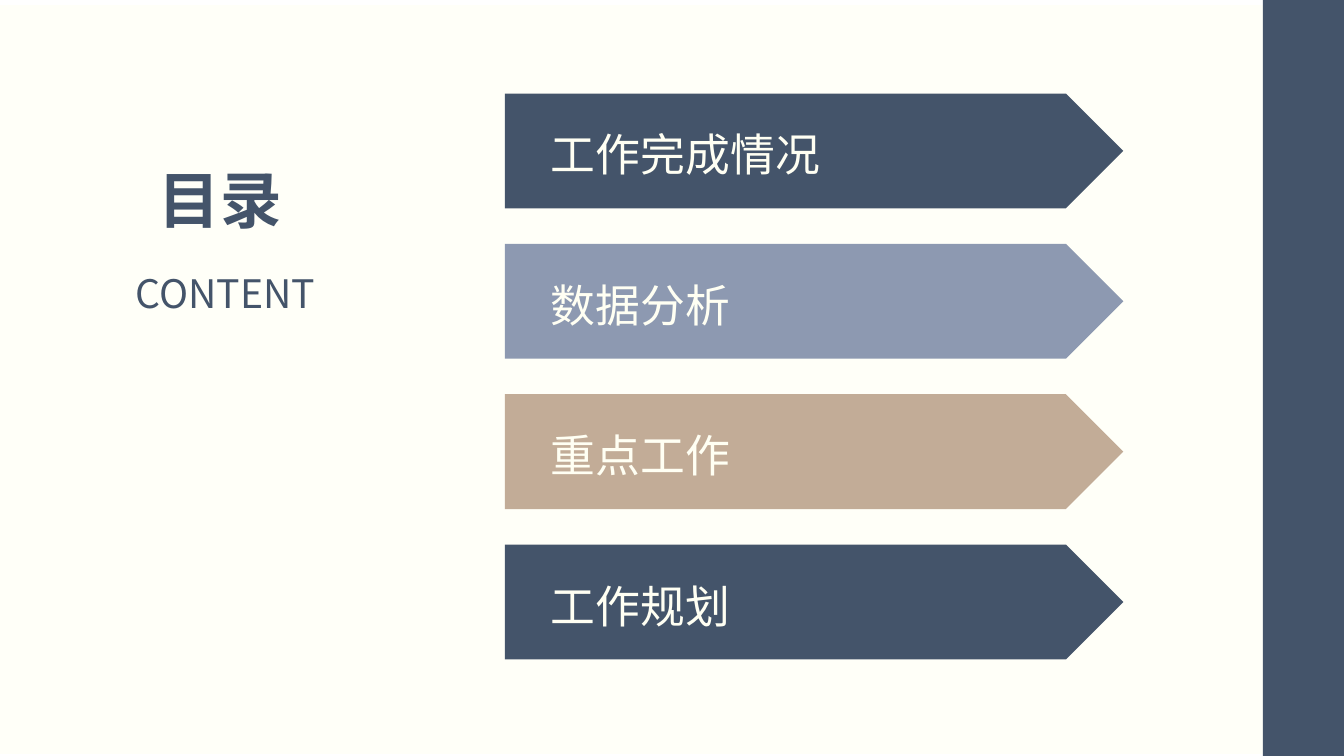
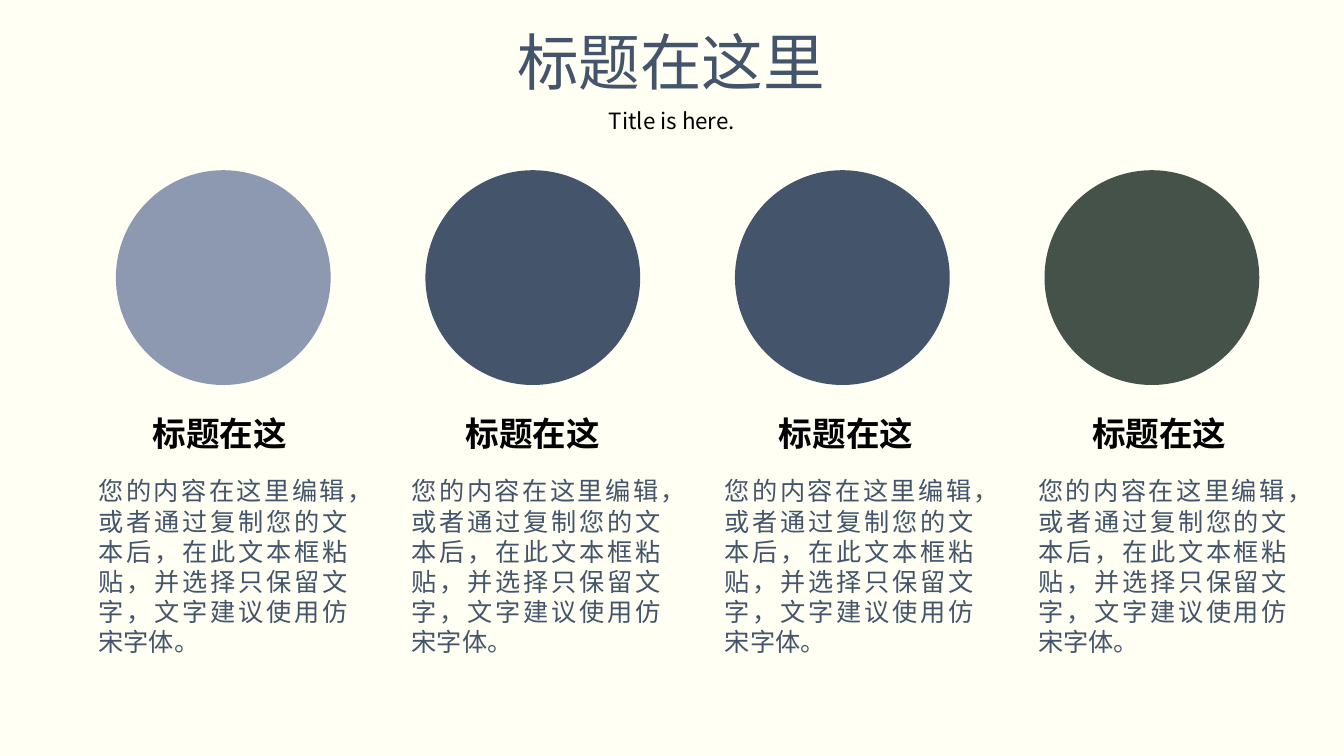
"""Build a contents slide and a four-column slide in one shared style."""
import pptx
import pptx.dml.color
import pptx.enum.shapes
import pptx.enum.text
import pptx.oxml.ns
import pptx.util
from lxml import etree

Pt = pptx.util.Pt
SHAPE = pptx.enum.shapes.MSO_SHAPE
ALIGN = pptx.enum.text.PP_ALIGN
ANCHOR = pptx.enum.text.MSO_ANCHOR
qn = pptx.oxml.ns.qn

FONT = "Noto Sans CJK SC"
COLORS = {
    "white": "FFFFFF",
    "panel": "FFFFF6",
    "cream": "FFFFF3",
    "navy": "44546A",
    "blue": "8D99B1",
    "sand": "C2AC97",
    "green": "455249",
    "black": "000000",
}
WIDTH, HEIGHT = 960, 540


class Slides:
    """Hold the deck style and the current page."""

    def __init__(self):
        self.deck = pptx.Presentation()
        self.deck.slide_width = Pt(WIDTH)
        self.deck.slide_height = Pt(HEIGHT)
        self.page = None

    def paint(self, fill, color):
        fill.solid()
        fill.fore_color.rgb = pptx.dml.color.RGBColor.from_string(COLORS[color])

    def new_page(self, background):
        self.page = self.deck.slides.add_slide(self.deck.slide_layouts[5])
        self.paint(self.page.background.fill, background)

    def add_words(self, box, text, size, color, align=ALIGN.CENTER, bold=False):
        box.text_frame.word_wrap = True
        para = box.text_frame.paragraphs[0]
        para.alignment = align
        span = para.add_run()
        span.text = text
        span.font.size = Pt(size)
        span.font.bold = bold
        span.font.name = FONT
        self.paint(span.font.fill, color)
        properties = span._r.get_or_add_rPr()
        properties.set("lang", "zh-CN")
        etree.SubElement(properties, qn("a:ea")).set("typeface", FONT)

    def fit(self, box):
        box.text_frame.vertical_anchor = ANCHOR.TOP
        box.text_frame.auto_size = pptx.enum.text.MSO_AUTO_SIZE.SHAPE_TO_FIT_TEXT

    def title(self, text, left, top, width, height, bold=False):
        box = self.page.shapes.title
        box.left, box.top, box.width, box.height = map(Pt, (left, top, width, height))
        self.fit(box)
        self.add_words(box, text, 44, "navy", bold=bold)

    def text(self, text, left, top, width, height, size, color, **style):
        box = self.page.shapes.add_textbox(*map(Pt, (left, top, width, height)))
        self.fit(box)
        self.add_words(box, text, size, color, **style)

    def shape(self, kind, left, top, width, height, color):
        shape = self.page.shapes.add_shape(kind, *map(Pt, (left, top, width, height)))
        shape.shadow.inherit = False
        shape.line.fill.background()
        self.paint(shape.fill, color)
        return shape

    def back_panel(self, left, top, width, height, color, opacity):
        panel = self.shape(SHAPE.RECTANGLE, left, top, width, height, color)
        tint = next(panel._element.iter(qn("a:srgbClr")))
        etree.SubElement(tint, qn("a:alpha")).set("val", str(opacity * 1000))
        self.page.shapes._spTree.insert(2, panel._element)

    def arrow(self, text, left, top, width, height, color):
        arrow = self.shape(SHAPE.PENTAGON, left, top, width, height, color)
        frame = arrow.text_frame
        frame.vertical_anchor = ANCHOR.MIDDLE
        frame.margin_left = Pt(33)
        frame.margin_top = Pt(8)
        self.add_words(arrow, text, 32, "cream", align=ALIGN.LEFT)


def contents_slide(slides):
    slides.new_page("white")
    slides.back_panel(0, 3.6, 903, 535, "panel", 71)
    slides.title("目录", 88, 112.3, 139, 60.5, bold=True)
    slides.text("CONTENT", 55.4, 188.6, 211, 41, 28, "navy")
    chapters = [
        ("工作完成情况", "navy"),
        ("数据分析", "blue"),
        ("重点工作", "sand"),
        ("工作规划", "navy"),
    ]
    for row, (chapter, color) in enumerate(chapters):
        slides.arrow(chapter, 360.6, 66.8 + 107.4 * row, 441.8, 82, color)
    slides.shape(SHAPE.RECTANGLE, 902, 0, WIDTH - 902, HEIGHT, "navy")


def columns_slide(slides):
    slides.new_page("cream")
    slides.title("标题在这里", 347.5, 13.7, 264, 60.5)
    slides.text("Title is here.", 339, 72.7, 282, 26.6, 16, "black")
    body = (
        "您的内容在这里编辑，或者通过复制您的文本后，"
        "在此文本框粘贴，并选择只保留文字，文字建议使用仿宋字体。"
    )
    for column, color in enumerate(["blue", "navy", "navy", "green"]):
        slides.shape(SHAPE.OVAL, 82.8 + 221.1 * column, 121.6, 153.4, 153.4, color)
        shift = 223.7 * column
        slides.text("标题在这", 93.3 + shift, 291.6, 127.4, 36, 24, "black", bold=True)
        slides.text(body, 63.3 + shift, 336.2, 192.2, 160, 18, "navy", align=ALIGN.JUSTIFY)


def main():
    slides = Slides()
    contents_slide(slides)
    columns_slide(slides)
    slides.deck.save("out.pptx")


if __name__ == "__main__":
    main()
